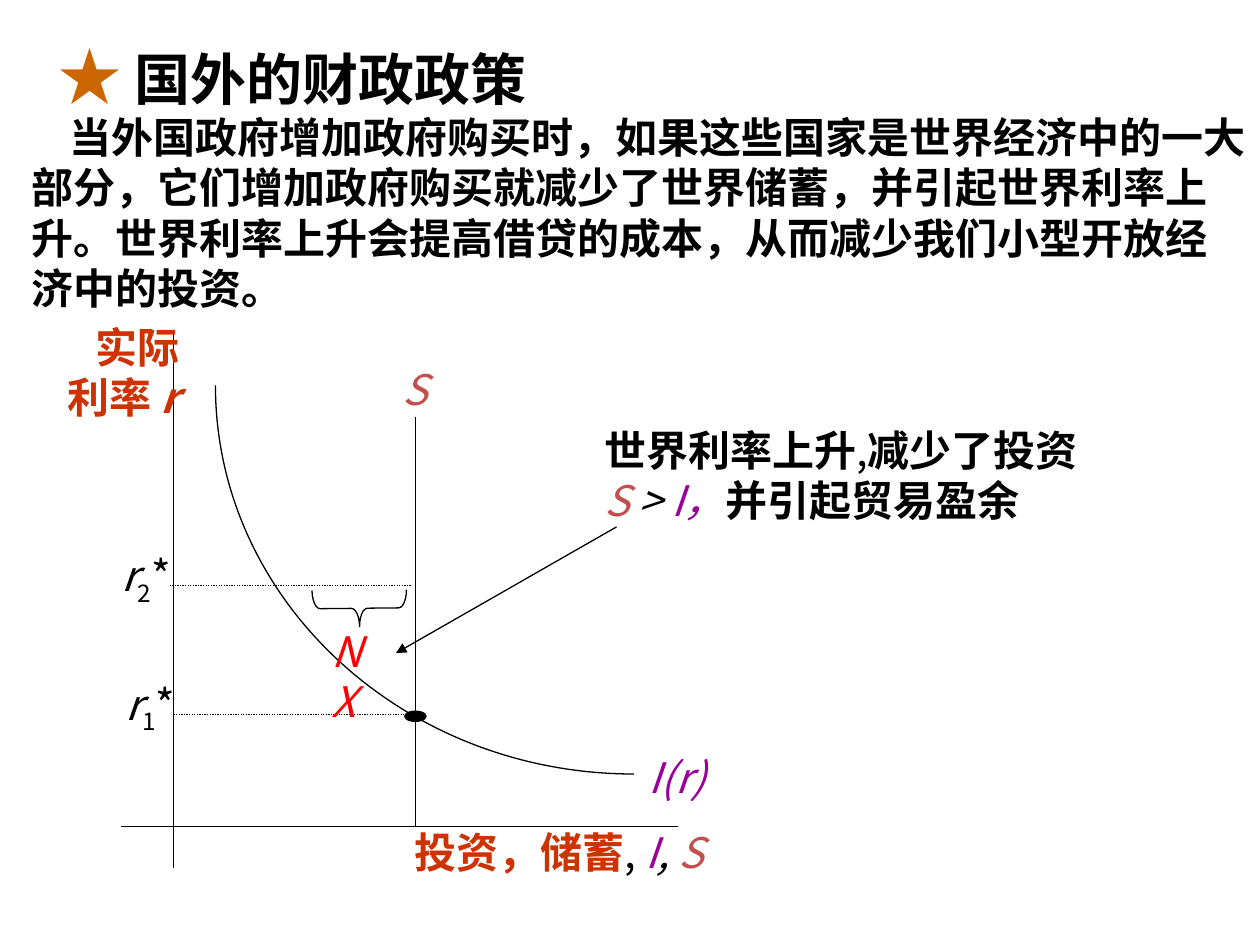
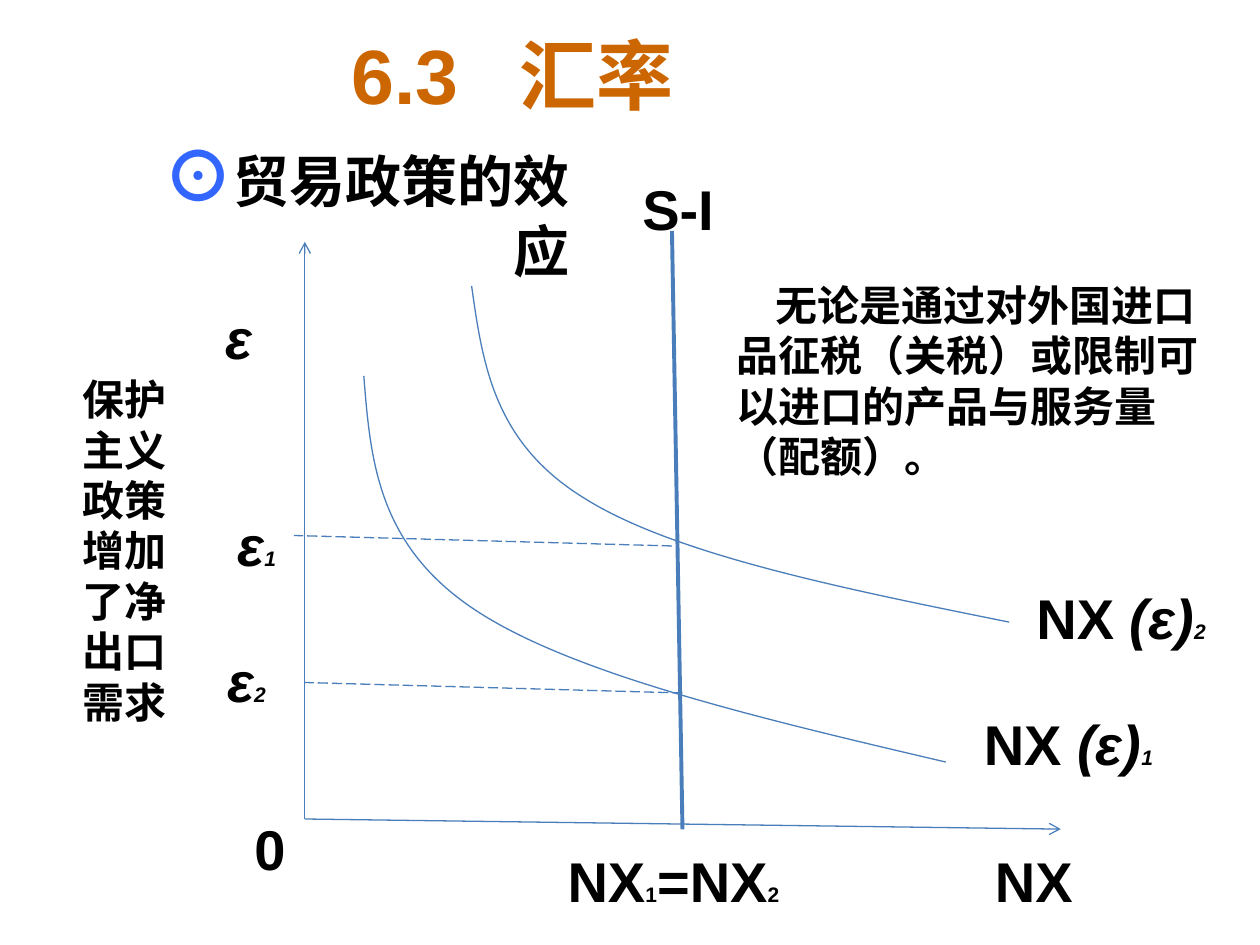
import dataclasses

import pptx
import pptx.dml.color
import pptx.enum.dml
import pptx.enum.shapes
import pptx.enum.text
import pptx.oxml.ns
import pptx.util
from lxml import etree

Pt = pptx.util.Pt
qn = pptx.oxml.ns.qn
RGB = pptx.dml.color.RGBColor.from_string
Dash = pptx.enum.dml.MSO_LINE
Shape = pptx.enum.shapes.MSO_SHAPE
LEFT = pptx.enum.text.PP_ALIGN.LEFT
RIGHT = pptx.enum.text.PP_ALIGN.RIGHT


@dataclasses.dataclass(frozen=True)
class Theme:
    latin: str = "Arial"
    chinese: str = "Noto Sans CJK SC"
    ink: str = "000000"
    orange: str = "CC6600"
    rust: str = "CC3300"
    saving: str = "C0504D"
    investment: str = "990099"
    export: str = "FF0000"
    bullet: str = "3366FF"
    graph: str = "4A7EBB"
    title: float = 44
    symbol: float = 40
    star: float = 36
    heading: float = 32
    body: float = 24
    index: float = 12
    thin: float = 0.75
    thick: float = 2.25
    first_line: float = 22


theme = Theme()


def add_text(page, area, paragraphs, font=theme.chinese, align=LEFT, indent=0, tab=None):
    """Add a text box; a run is (text, size, colour, style), style holding b, i or s (subscript)."""
    box = page.shapes.add_textbox(*map(Pt, area))
    frame = box.text_frame
    frame.word_wrap = True
    frame.auto_size = pptx.enum.text.MSO_AUTO_SIZE.SHAPE_TO_FIT_TEXT
    for number, runs in enumerate(paragraphs):
        para = frame.add_paragraph() if number else frame.paragraphs[0]
        para.alignment = align
        properties = para._p.get_or_add_pPr()
        if indent:
            properties.set("indent", str(Pt(indent)))
        if tab:
            tabs = etree.SubElement(properties, qn("a:tabLst"))
            etree.SubElement(tabs, qn("a:tab"), pos=str(Pt(tab)), algn="l")
        for text, size, colour, style in runs:
            span = para.add_run()
            span.text = text
            span.font.size = Pt(size)
            span.font.bold = "b" in style
            span.font.italic = "i" in style
            span.font.color.rgb = RGB(colour)
            span.font.name = font
            run_properties = span._r.get_or_add_rPr()
            etree.SubElement(run_properties, qn("a:ea"), typeface=theme.chinese)
            if "s" in style:
                run_properties.set("baseline", "-25000")


def add_line(page, ends, colour, width=theme.thin, dash=None, arrow=None):
    start_x, start_y, end_x, end_y = map(Pt, ends)
    line = page.shapes.add_connector(
        pptx.enum.shapes.MSO_CONNECTOR.STRAIGHT, start_x, start_y, end_x, end_y)
    line.line.color.rgb = RGB(colour)
    line.line.width = Pt(width)
    if dash:
        line.line.dash_style = dash
    if arrow:
        etree.SubElement(line.line._get_or_add_ln(), qn("a:tailEnd"), type=arrow)
    etree.SubElement(line._element.spPr, qn("a:effectLst"))


deck = pptx.Presentation()
deck.slide_width, deck.slide_height = Pt(720), Pt(540)
blank = deck.slide_layouts[6]
fiscal_page = deck.slides.add_slide(blank)
trade_page = deck.slides.add_slide(blank)

# Curves: a start point followed by three points for each Bezier piece
curves = [
    (fiscal_page, theme.ink,
     [(362.2, 442.3), (230.4, 442.3), (123.1, 342.9), (123.1, 220.3)]),
    (trade_page, theme.graph,
     [(540.5, 435.5), (433.4, 410.4), (326.9, 385.2), (271.4, 348.5),
      (216, 311.8), (211.7, 263.5), (207.9, 214.8)]),
    (trade_page, theme.graph,
     [(576.7, 355.5), (481, 336.2), (384.5, 316.8), (333.4, 284.4),
      (282.2, 252.7), (275.8, 208.1), (269.5, 163.4)]),
]
for page, colour, controls in curves:
    builder = page.shapes.build_freeform(*map(Pt, controls[0]))
    builder.add_line_segments([tuple(map(Pt, point)) for point in controls[1:]], close=False)
    curve = builder.convert_to_shape()
    segments = list(curve._element.iter(qn("a:lnTo")))
    for first in range(0, len(segments), 3):
        bezier = etree.SubElement(segments[first].getparent(), qn("a:cubicBezTo"))
        for segment in segments[first:first + 3]:
            bezier.append(segment[0])
            segment.getparent().remove(segment)
    curve.shadow.inherit = False
    curve.fill.background()
    curve.line.color.rgb = RGB(colour)
    curve.line.width = Pt(theme.thin)

# Fiscal policy abroad
add_line(fiscal_page, (99.2, 190, 99.2, 496), theme.ink)
add_line(fiscal_page, (69.2, 472.3, 387.4, 472.3), theme.ink)
add_line(fiscal_page, (237.4, 238.3, 237.4, 472.3), theme.ink)
add_line(fiscal_page, (237, 408.2, 99.4, 408.2), theme.ink, dash=Dash.ROUND_DOT)
add_line(fiscal_page, (234.7, 334.6, 97.2, 334.6), theme.ink, dash=Dash.ROUND_DOT)
add_line(fiscal_page, (352.3, 301.1, 226.3, 373.2), theme.ink, arrow="triangle")

equilibrium = fiscal_page.shapes.add_shape(
    Shape.OVAL, Pt(231.3), Pt(406.4), Pt(12.2), Pt(5.8))
equilibrium.fill.solid()
equilibrium.fill.fore_color.rgb = RGB(theme.ink)
surplus_brace = fiscal_page.shapes.add_shape(
    Shape.RIGHT_BRACE, Pt(194.9), Pt(320.6), Pt(20.9), Pt(54))
surplus_brace.rotation = 89.4
surplus_brace.adjustments[0] = 0.22
surplus_brace.fill.background()
for shape in (equilibrium, surplus_brace):
    shape.shadow.inherit = False
    shape.line.color.rgb = RGB(theme.ink)
    shape.line.width = Pt(theme.thin)

size = theme.body
add_text(fiscal_page, (17.2, 18, 291, 50),
         [[("★", theme.star, theme.orange, "b"), (" ", theme.heading, theme.ink, "b"),
           ("国外的财政政策", theme.heading, theme.ink, "b")]], align=RIGHT)
add_text(fiscal_page, (10.8, 60.1, 709.2, 122),
         [[("当外国政府增加政府购买时，如果这些国家是世界经济中的一大部分，"
            "它们增加政府购买就减少了世界储蓄，并引起世界利率上升。"
            "世界利率上升会提高借贷的成本，从而减少我们小型开放经济中的投资。",
            size, theme.ink, "b")]], indent=theme.first_line)
add_text(fiscal_page, (15, 180, 94.5, 65),
         [[("实际", size, theme.rust, "b")],
          [("利率 ", size, theme.rust, "b"), ("r", size, theme.rust, "bi")]], align=RIGHT)
add_text(fiscal_page, (229.7, 468.7, 227, 36),
         [[("投资，储蓄", size, theme.rust, "b"), (", ", size, theme.ink, ""),
           ("I", size, theme.investment, "i"), (", ", size, theme.ink, "i"),
           ("S", size, theme.saving, "i")]])
add_text(fiscal_page, (338.2, 239, 304, 65),
         [[("世界利率上升", size, theme.ink, "b"), (",", size, theme.ink, ""),
           ("减少了投资", size, theme.ink, "b")],
          [("S ", size, theme.saving, "i"), ("> ", size, theme.ink, "i"),
           ("I，", size, theme.investment, "i"), ("并引起贸易盈余", size, theme.ink, "b")]])
for label, area, colour in [
    ("S", (222.8, 204.1, 29, 36), theme.saving),
    ("I(r)", (363.6, 426.2, 72, 36), theme.investment),
    ("NX", (182.2, 353.8, 43, 36), theme.export),
]:
    add_text(fiscal_page, area, [[(label, size, colour, "i")]])
for index, left, top in [("1", 64.8, 384), ("2", 62.2, 310.5)]:
    add_text(fiscal_page, (left, top, 52, 40),
             [[("r", size, theme.ink, "i"), (index, size, theme.ink, "s"),
               ("*", size, theme.ink, "")]])

# Effects of trade policy
add_line(trade_page, (174.2, 468, 606.2, 473.8), theme.graph, arrow="arrow")
add_line(trade_page, (174.2, 468, 174.2, 138.2), theme.graph, arrow="arrow")
add_line(trade_page, (384, 132, 390, 474), theme.graph, theme.thick)
add_line(trade_page, (390, 396, 174, 390), theme.graph, dash=Dash.LONG_DASH)
add_line(trade_page, (384, 312, 168, 306), theme.graph, dash=Dash.LONG_DASH)

add_text(trade_page, (193.7, 12.2, 212, 60),
         [[("6.3\t汇率", theme.title, theme.orange, "b")]], theme.latin, tab=96.3)
add_text(trade_page, (69.8, 72, 262.8, 55),
         [[("⊙", theme.symbol, theme.bullet, "b"),
           ("贸易政策的效应", theme.heading, theme.ink, "b")]], align=RIGHT)
add_text(trade_page, (414, 156.2, 282.2, 122),
         [[("无论是通过对外国进口品征税（关税）或限制可以进口的产品与服务量（配额）。",
            size, theme.ink, "b")]], indent=theme.first_line)
add_text(trade_page, (18, 210, 84.2, 209),
         [[("保护主义政策增加了净出口需求", size, theme.ink, "b")]], align=RIGHT)
for label, area, style in [
    ("NX", (557.5, 480.2, 62.6, 46), "b"),
    ("S-I", (355.6, 96.1, 59.4, 46), "b"),
    ("0", (137.8, 462, 32.4, 46), "b"),
    ("ε", (114.5, 170, 36.7, 46), "bi"),
]:
    add_text(trade_page, area, [[(label, theme.heading, theme.ink, style)]],
             theme.latin, RIGHT)
for index, area in [("1", (486, 401.8, 180, 46)), ("2", (564, 329.8, 132, 46))]:
    add_text(trade_page, area,
             [[("NX", theme.heading, theme.ink, "b"), (" (ε)", theme.heading, theme.ink, "bi"),
               (index, theme.index, theme.ink, "bi")]], theme.latin, RIGHT)
for index, left, top in [("1", 128.7, 288), ("2", 122.8, 365.8)]:
    add_text(trade_page, (left, top, 60, 46),
             [[("ε", theme.heading, theme.ink, "bi"), (index, theme.index, theme.ink, "bi")]],
             theme.latin)
add_text(trade_page, (311.5, 480.2, 140.9, 46),
         [[("NX", theme.heading, theme.ink, "b"), ("1", theme.index, theme.ink, "b"),
           ("=NX", theme.heading, theme.ink, "b"), ("2", theme.index, theme.ink, "b")]],
         theme.latin, RIGHT)

deck.save("out.pptx")
